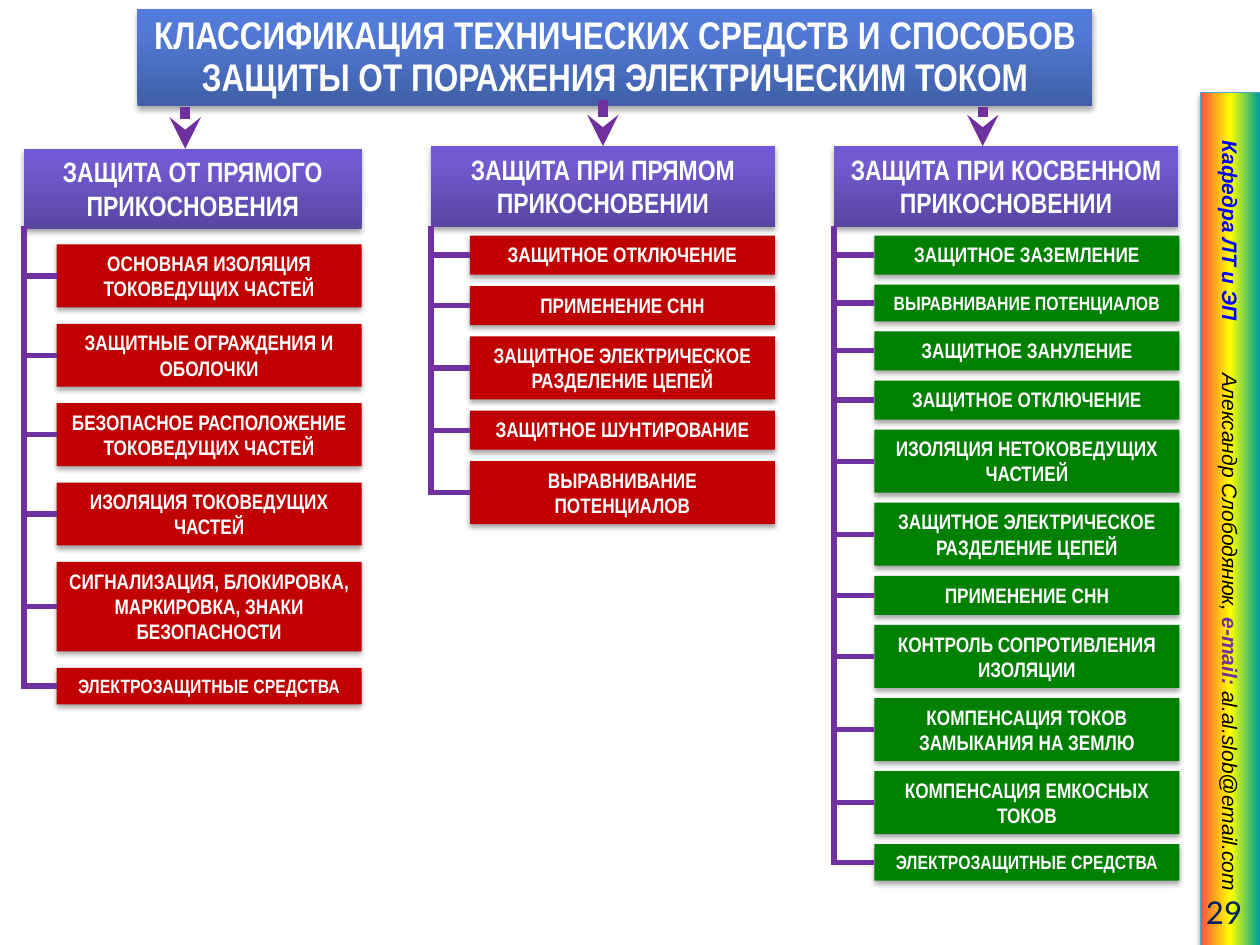
from dataclasses import dataclass
from typing import Optional

from lxml.etree import SubElement
from pptx import Presentation
from pptx.dml.color import RGBColor
from pptx.enum.shapes import MSO_CONNECTOR, MSO_SHAPE
from pptx.enum.text import MSO_ANCHOR, MSO_AUTO_SIZE, PP_ALIGN
from pptx.oxml.ns import qn
from pptx.util import Inches, Pt

WHITE, PURPLE, RED, GREEN = "FFFFFF", "7030A0", "C00000", "008000"
TITLE_STOPS = [(0, "405FA6"), (80, "527BD8"), (100, "507ADC")]
HEADER_STOPS = [(0, "5845A1"), (80, "725AD0"), (100, "7158D4")]
RAINBOW_STOPS = [(0, "FF3399"), (6, "FF6633"), (50, "FFFF00"), (96, "01A78F"), (100, "3366FF")]
HEADER_HEIGHT = 0.64
LINE_HEIGHTS = {1: 0.31, 2: 0.5, 3: 0.71}
SMALL_HEIGHT = 0.29


@dataclass
class Measure:
    text: str
    lines: int = 1
    size: int = 12

    @property
    def height(self) -> float:
        return SMALL_HEIGHT if self.size < 12 else LINE_HEIGHTS[self.lines]


@dataclass
class Column:
    header: str
    left: float
    top: float
    width: float
    box_left: float
    first_top: float
    gap: float
    color: str
    measures: list[Measure]
    arrow_x: Optional[float] = None  # None: the middle of the header


COLUMNS = [
    Column("ЗАЩИТА ОТ ПРЯМОГО ПРИКОСНОВЕНИЯ", 0.19, 1.18, 2.68, 0.45, 1.94, 0.13, RED, [
        Measure("ОСНОВНАЯ ИЗОЛЯЦИЯ ТОКОВЕДУЩИХ ЧАСТЕЙ", 2),
        Measure("ЗАЩИТНЫЕ ОГРАЖДЕНИЯ И ОБОЛОЧКИ", 2),
        Measure("БЕЗОПАСНОЕ РАСПОЛОЖЕНИЕ ТОКОВЕДУЩИХ ЧАСТЕЙ", 2),
        Measure("ИЗОЛЯЦИЯ ТОКОВЕДУЩИХ ЧАСТЕЙ", 2),
        Measure("СИГНАЛИЗАЦИЯ, БЛОКИРОВКА, МАРКИРОВКА, ЗНАКИ БЕЗОПАСНОСТИ", 3),
        Measure("ЭЛЕКТРОЗАЩИТНЫЕ СРЕДСТВА", size=11),
    ], arrow_x=1.47),
    Column("ЗАЩИТА ПРИ ПРЯМОМ ПРИКОСНОВЕНИИ", 3.42, 1.16, 2.73, 3.73, 1.87, 0.09, RED, [
        Measure("ЗАЩИТНОЕ ОТКЛЮЧЕНИЕ"),
        Measure("ПРИМЕНЕНИЕ СНН"),
        Measure("ЗАЩИТНОЕ ЭЛЕКТРИЧЕСКОЕ РАЗДЕЛЕНИЕ ЦЕПЕЙ", 2),
        Measure("ЗАЩИТНОЕ ШУНТИРОВАНИЕ"),
        Measure("ВЫРАВНИВАНИЕ ПОТЕНЦИАЛОВ", 2),
    ]),
    Column("ЗАЩИТА ПРИ КОСВЕННОМ ПРИКОСНОВЕНИИ", 6.62, 1.16, 2.73, 6.94, 1.87, 0.08, GREEN, [
        Measure("ЗАЩИТНОЕ ЗАЗЕМЛЕНИЕ"),
        Measure("ВЫРАВНИВАНИЕ ПОТЕНЦИАЛОВ", size=11),
        Measure("ЗАЩИТНОЕ ЗАНУЛЕНИЕ"),
        Measure("ЗАЩИТНОЕ ОТКЛЮЧЕНИЕ"),
        Measure("ИЗОЛЯЦИЯ НЕТОКОВЕДУЩИХ ЧАСТИЕЙ", 2),
        Measure("ЗАЩИТНОЕ ЭЛЕКТРИЧЕСКОЕ РАЗДЕЛЕНИЕ ЦЕПЕЙ", 2),
        Measure("ПРИМЕНЕНИЕ СНН"),
        Measure("КОНТРОЛЬ СОПРОТИВЛЕНИЯ ИЗОЛЯЦИИ", 2),
        Measure("КОМПЕНСАЦИЯ ТОКОВ ЗАМЫКАНИЯ НА ЗЕМЛЮ", 2),
        Measure("КОМПЕНСАЦИЯ ЕМКОСНЫХ ТОКОВ", 2),
        Measure("ЭЛЕКТРОЗАЩИТНЫЕ СРЕДСТВА", size=11),
    ], arrow_x=7.8),
]


def color(value: str) -> RGBColor:
    return RGBColor.from_string(value)


def add_color_element(parent, value: str):
    return SubElement(parent, qn("a:srgbClr"), val=value)


def fill_gradient(shape, stops) -> None:
    """Fill from bottom to top with the given (percent, colour) stops."""
    shape.fill.gradient()
    shape.fill.gradient_angle = 90
    stop_list = shape._element.spPr.find(qn("a:gradFill")).find(qn("a:gsLst"))
    for stop in list(stop_list):
        stop_list.remove(stop)
    for percent, value in stops:
        add_color_element(SubElement(stop_list, qn("a:gs"), pos=str(percent * 1000)), value)


def add_shadow(shape, opacity: int, distance: float) -> None:
    shape.shadow.inherit = False
    effects = shape._element.spPr.find(qn("a:effectLst"))
    shadow = SubElement(effects, qn("a:outerShdw"), blurRad=str(Pt(3.1)),
                        dist=str(Pt(distance)), dir="5400000", rotWithShape="0")
    SubElement(add_color_element(shadow, "000000"), qn("a:alpha"), val=str(opacity * 1000))


def format_run(run, font_name: str, size: int, value: str, bold=False, italic=False) -> None:
    font = run.font
    font.name, font.size, font.bold, font.italic = font_name, Pt(size), bold, italic
    font.color.rgb = color(value)


def add_box(slide, left: float, top: float, width: float, height: float, text: str, size: int):
    """Add a rectangle with centred white text and no fill of its own yet."""
    box = slide.shapes.add_shape(MSO_SHAPE.RECTANGLE, Inches(left), Inches(top),
                                 Inches(width), Inches(height))
    box.line.fill.background()
    add_shadow(box, 35, 1.8)
    frame = box.text_frame
    frame.text = text
    frame.word_wrap = True
    frame.auto_size = MSO_AUTO_SIZE.SHAPE_TO_FIT_TEXT
    frame.vertical_anchor = MSO_ANCHOR.TOP
    paragraph = frame.paragraphs[0]
    paragraph.alignment = PP_ALIGN.CENTER
    format_run(paragraph.runs[0], "Arial Narrow", size, WHITE, bold=True)
    return box


def add_line(slide, x1: float, y1: float, x2: float, y2: float, width: float = 3):
    line = slide.shapes.add_connector(MSO_CONNECTOR.STRAIGHT, Inches(x1), Inches(y1),
                                      Inches(x2), Inches(y2))
    line.line.color.rgb = color(PURPLE)
    line.line.width = Pt(width)
    SubElement(line._element.spPr, qn("a:effectLst"))
    return line


def add_column(slide, column: Column) -> None:
    header = add_box(slide, column.left, column.top, column.width, HEADER_HEIGHT,
                     column.header, 16)
    fill_gradient(header, HEADER_STOPS)
    top = column.first_top
    for measure in column.measures:
        box = add_box(slide, column.box_left, top, 2.42, measure.height,
                      measure.text, measure.size)
        box.fill.solid()
        box.fill.fore_color.rgb = color(column.color)
        middle = top + measure.height / 2
        add_line(slide, column.left, middle, column.box_left, middle).end_connect(box, 1)
        top += measure.height + column.gap
    add_line(slide, column.left, 1.79, column.left, middle + 0.02)

    centered = column.arrow_x is None
    arrow_x = column.left + column.width / 2 if centered else column.arrow_x
    arrow = add_line(slide, arrow_x, 0.79 if centered else 0.85, arrow_x, column.top, 6)
    if centered:
        arrow.end_connect(header, 0)
    SubElement(arrow.line._get_or_add_ln(), qn("a:tailEnd"), type="stealth")


def add_department_strip(slide) -> None:
    strip = slide.shapes.add_shape(MSO_SHAPE.RECTANGLE, Inches(6.38), Inches(3.88),
                                   Inches(6.77), Inches(0.48))
    strip.rotation = 90
    fill_gradient(strip, RAINBOW_STOPS)
    strip.line.color.rgb = color("46AAC5")
    strip.line.width = Pt(0.75)
    add_shadow(strip, 38, 1.6)
    frame = strip.text_frame
    frame.word_wrap = True
    frame.margin_left, frame.margin_right = Inches(0.38), Inches(0)
    frame.vertical_anchor = MSO_ANCHOR.MIDDLE
    paragraph = frame.paragraphs[0]
    paragraph.alignment = PP_ALIGN.LEFT
    tabs = SubElement(paragraph._p.get_or_add_pPr(), qn("a:tabLst"))
    SubElement(tabs, qn("a:tab"), pos=str(Inches(1.85)), algn="l")
    for text, value, bold in [("Кафедра ЛТ и ЭП\t", "0000FF", True),
                              ("Александр Слободянюк, ", "000000", False),
                              ("e-mail: ", PURPLE, True),
                              ("al.al.slob@email.com", "000000", False)]:
        run = paragraph.add_run()
        run.text = text
        format_run(run, "Arial", 12, value, bold, italic=True)


def add_slide_number(slide) -> None:
    number = slide.shapes.add_textbox(Inches(8.86), Inches(7.03), Inches(1.09), Inches(0.4))
    frame = number.text_frame
    frame.text = "29"
    frame.word_wrap = True
    frame.vertical_anchor = MSO_ANCHOR.MIDDLE
    frame.paragraphs[0].alignment = PP_ALIGN.RIGHT
    format_run(frame.paragraphs[0].runs[0], "Calibri", 20, "002060")


def main() -> None:
    presentation = Presentation()
    presentation.slide_width, presentation.slide_height = Inches(10), Inches(7.5)
    slide = presentation.slides.add_slide(presentation.slide_layouts[6])
    add_department_strip(slide)
    add_slide_number(slide)
    title = add_box(slide, 1.09, 0.07, 7.58, 0.77, "КЛАССИФИКАЦИЯ ТЕХНИЧЕСКИХ СРЕДСТВ И СПОСОБОВ "
                    "ЗАЩИТЫ ОТ ПОРАЖЕНИЯ ЭЛЕКТРИЧЕСКИМ ТОКОМ", 22)
    title.text_frame.paragraphs[0].line_spacing = Pt(24)
    fill_gradient(title, TITLE_STOPS)
    for column in COLUMNS:
        add_column(slide, column)
    presentation.save("out.pptx")


if __name__ == "__main__":
    main()
